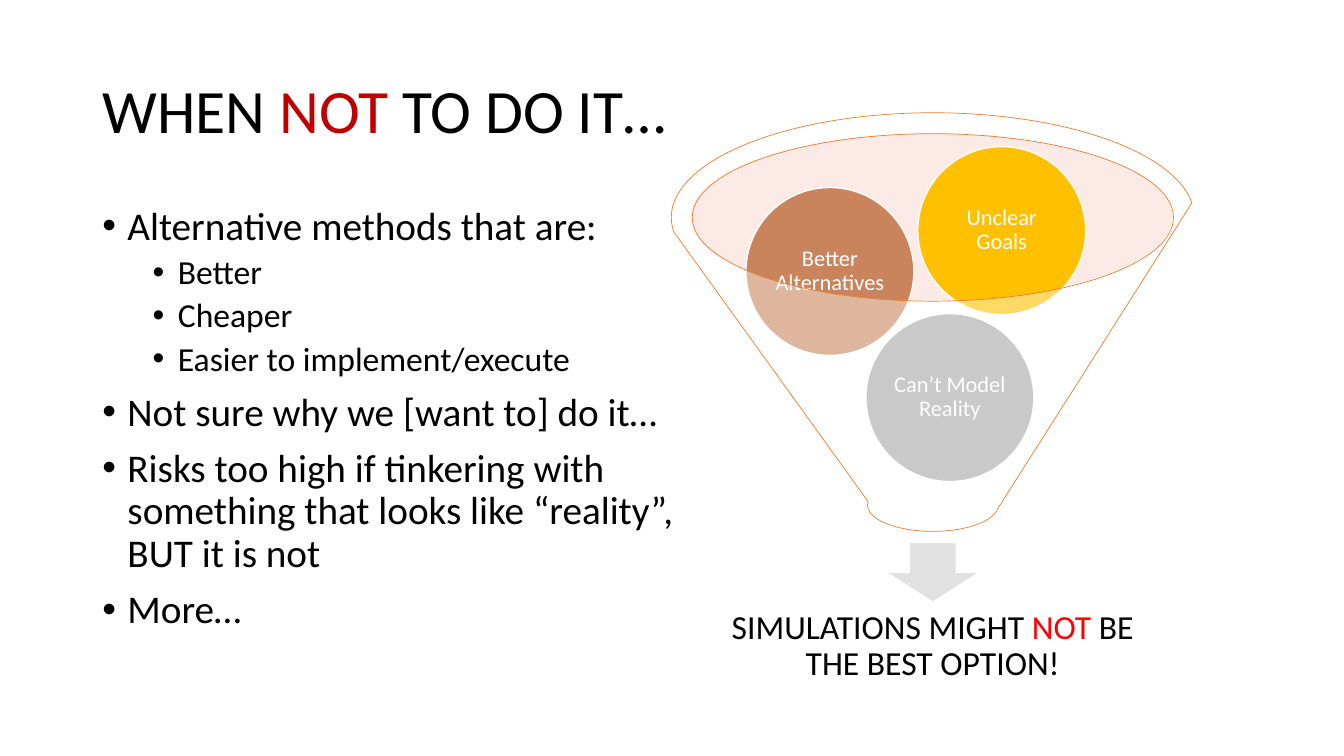
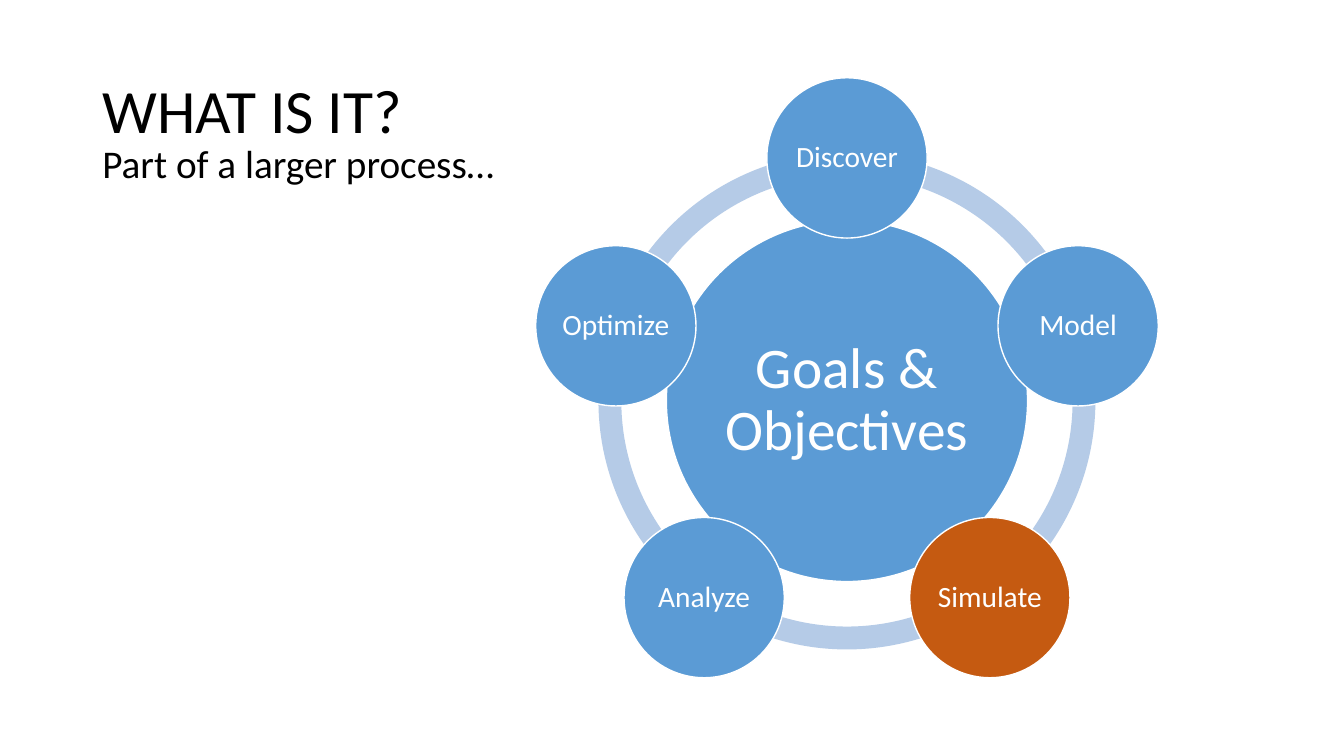
"""Build two slides: a funnel of reasons not to simulate, and a cycle around goals."""
import math
from lxml import etree
from pptx import Presentation
from pptx.dml.color import RGBColor
from pptx.enum import shapes, text
from pptx.oxml import ns
from pptx.util import Pt

COLORS = {
    "ink": "000000", "white": "FFFFFF", "title_red": "C00000", "red": "FF0000",
    "mouth": "F6CCBE", "outline": "ED7D31", "arrow": "E1E1E1", "gray": "A5A5A5",
    "brown": "C9845C", "gold": "FFC000", "blue": "5B9BD5", "ring": "B5CBE7",
    "highlight": "C55A11",
}
MIDDLE = text.MSO_ANCHOR.MIDDLE
LEFT, CENTER = text.PP_ALIGN.LEFT, text.PP_ALIGN.CENTER
OVAL = shapes.MSO_SHAPE.OVAL


def write(frame, paragraphs, align=LEFT, anchor=text.MSO_ANCHOR.TOP, inset=None):
    """Fill a frame with (size, space before, [(words, color), ...]) paragraphs."""
    frame.word_wrap = True
    frame.vertical_anchor = anchor
    if inset is not None:
        frame.margin_left = frame.margin_right = Pt(inset)
        frame.margin_top = frame.margin_bottom = Pt(inset)
    for index, (size, before, pieces) in enumerate(paragraphs):
        paragraph = frame.add_paragraph() if index else frame.paragraphs[0]
        paragraph.alignment = align
        paragraph.line_spacing = 0.9
        paragraph.space_before = Pt(before)
        for words, color in pieces:
            run = paragraph.add_run()
            run.text = words
            run.font.name = "Calibri"
            run.font.size = Pt(size)
            run.font.color.rgb = RGBColor.from_string(COLORS[color])


def draw(slide, kind, box, fill, line=None, width=1, opacity=None):
    """Add a flat preset shape, optionally outlined or translucent."""
    shape = slide.shapes.add_shape(kind, *map(Pt, box))
    shape.shadow.inherit = False
    shape.fill.solid()
    shape.fill.fore_color.rgb = RGBColor.from_string(COLORS[fill])
    if opacity:
        color = shape.fill._xPr.find(".//" + ns.qn("a:srgbClr"))
        etree.SubElement(color, ns.qn("a:alpha"), val=str(opacity * 1000))
    if line:
        shape.line.color.rgb = RGBColor.from_string(COLORS[line])
        shape.line.width = Pt(width)
    else:
        shape.line.fill.background()
    return shape


deck = Presentation()
deck.slide_width, deck.slide_height = Pt(960), Pt(540)

titles = [
    [("WHEN ", "ink"), ("NOT", "title_red"), (" TO DO IT…", "ink")],
    [("WHAT IS IT?", "ink")],
]
for pieces in titles:
    slide = deck.slides.add_slide(deck.slide_layouts[6])
    title = slide.shapes.add_textbox(Pt(66), Pt(28.75), Pt(828), Pt(104.4))
    write(title.text_frame, [(44, 0, pieces)], anchor=MIDDLE)
avoid, process = deck.slides

reasons = [
    (0, "Alternative methods that are:"),
    (1, "Better"),
    (1, "Cheaper"),
    (1, "Easier to implement/execute"),
    (0, "Not sure why we [want to] do it…"),
    (0, "Risks too high if tinkering with something that looks like “reality”, BUT it is not"),
    (0, "More…"),
]
body = avoid.shapes.add_textbox(Pt(66), Pt(143.75), Pt(448), Pt(342.6)).text_frame
write(body, [(28 - 4 * level, 10 - 5 * level, [(words, "ink")]) for level, words in reasons])
for paragraph, (level, words) in zip(body.paragraphs, reasons):
    paragraph.level = level
    properties = paragraph._p.get_or_add_pPr()
    properties.set("marL", str(Pt(18 + 36 * level)))
    properties.set("indent", str(Pt(-18)))
    etree.SubElement(properties, ns.qn("a:buFont"), typeface="Arial")
    etree.SubElement(properties, ns.qn("a:buChar"), char="•")

draw(avoid, OVAL, (493.2, 95.2, 344.2, 119.5), "mouth", opacity=40)
draw(avoid, shapes.MSO_SHAPE.DOWN_ARROW, (633, 387.5, 66.7, 42.7), "arrow", "white")
verdict = avoid.shapes.add_textbox(Pt(506.2), Pt(422), Pt(320), Pt(80))
verdict_pieces = [("SIMULATIONS MIGHT ", "ink"), ("NOT", "red"), (" BE THE BEST OPTION!", "ink")]
write(verdict.text_frame, [(24, 0, verdict_pieces)], CENTER, MIDDLE, 13.7)

causes = [
    ("Can’t Model Reality", 618.5, 224, "gray"),
    ("Better Alternatives", 532.8, 133.9, "brown"),
    ("Unclear Goals", 655.5, 104.7, "gold"),
]
for words, left, top, color in causes:
    cause = draw(avoid, OVAL, (left, top, 120, 120), color, "white")
    write(cause.text_frame, [(16, 0, [(words, "white")])], CENTER, MIDDLE, 1.5)
draw(avoid, shapes.MSO_SHAPE.FUNNEL, (479.5, 80.6, 373.7, 299), "white", "outline", 0.5, 40)

subtitle = process.shapes.add_textbox(Pt(66), Pt(100), Pt(382.3), Pt(342.6))
write(subtitle.text_frame, [(28, 10, [("Part of a larger process…", "ink")])])

center_x, center_y, orbit = 605, 286.4, 173.6
ring, hub, node = 355, 258, 114.5
steps = ["Discover", "Model", "Simulate", "Analyze", "Optimize"]
sweep = 360 / len(steps)
angles = [270 + sweep * index for index in range(len(steps))]
for angle in angles:
    arc = draw(process, shapes.MSO_SHAPE.BLOCK_ARC,
               (center_x - ring / 2, center_y - ring / 2, ring, ring), "ring")
    arc.adjustments[0] = angle % 360 * 0.6
    arc.adjustments[1] = (angle + sweep) % 360 * 0.6
    arc.adjustments[2] = 0.046

circles = [("Goals & Objectives", center_x, center_y, hub, 41, 4, "blue")]
for step, angle in zip(steps, angles):
    x = center_x + orbit * math.cos(math.radians(angle))
    y = center_y + orbit * math.sin(math.radians(angle))
    circles.append((step, x, y, node, 21, 2, "highlight" if step == "Simulate" else "blue"))
for words, x, y, size, font_size, inset, color in circles:
    circle = draw(process, OVAL, (x - size / 2, y - size / 2, size, size), color, "white")
    write(circle.text_frame, [(font_size, 0, [(words, "white")])], CENTER, MIDDLE, inset)

deck.save("out.pptx")
